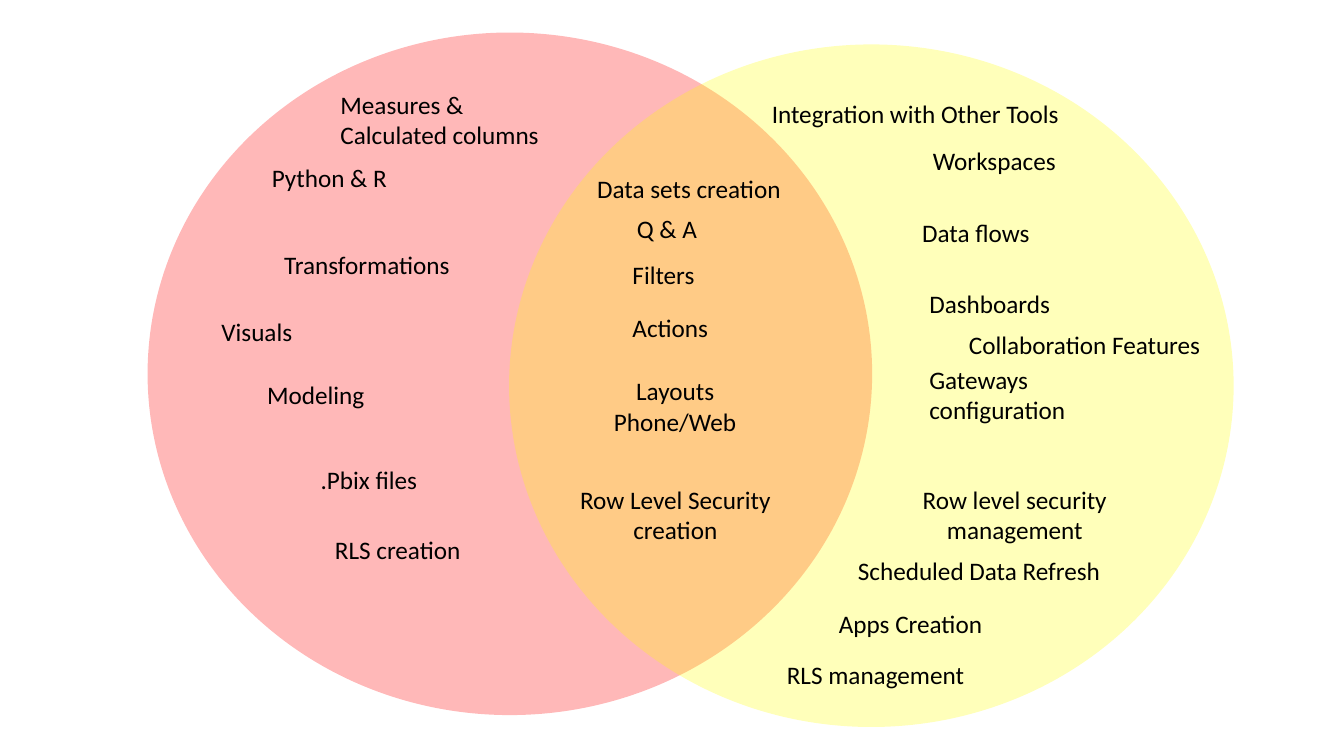
"""Build a Venn diagram slide of report authoring and online service features."""
from lxml import etree
from pptx import Presentation
from pptx import util as u
from pptx.dml.color import RGBColor
from pptx.enum import shapes, text
from pptx.oxml.ns import qn

RED = RGBColor(0xFF, 0x00, 0x00)
YELLOW = RGBColor(0xFF, 0xFF, 0x00)
BLACK = RGBColor(0x00, 0x00, 0x00)
LEFT, CENTER = text.PP_ALIGN.LEFT, text.PP_ALIGN.CENTER

presentation = Presentation()
presentation.slide_width = u.Cm(33.87)
presentation.slide_height = u.Cm(19.05)
slide = presentation.slides.add_slide(presentation.slide_layouts[6])


def add_label(words, left, top, width, alignment=LEFT, size=18, color=BLACK):
    lines = words.split("\n")
    height = 1.02 + 0.78 * (len(lines) - 1)
    shape = slide.shapes.add_textbox(u.Cm(left), u.Cm(top), u.Cm(width), u.Cm(height))
    frame = shape.text_frame
    frame.word_wrap = False
    frame.auto_size = text.MSO_AUTO_SIZE.SHAPE_TO_FIT_TEXT
    frame.text = words
    for paragraph in frame.paragraphs:
        paragraph.alignment = alignment
        paragraph.font.name = "Calibri"
        paragraph.font.size = u.Pt(size)
        paragraph.font.color.rgb = color


circles = [
    (3.72, 0.82, RED, 28),
    (12.83, 1.12, YELLOW, 27),
]
for left, top, color, opacity in circles:
    circle = slide.shapes.add_shape(
        shapes.MSO_SHAPE.OVAL, u.Cm(left), u.Cm(top), u.Cm(18.26), u.Cm(17.2))
    circle.shadow.inherit = False
    circle.line.fill.background()
    circle.fill.solid()
    circle.fill.fore_color.rgb = color
    fill_color = circle.fill._xPr.find(qn("a:solidFill"))[0]
    etree.SubElement(fill_color, qn("a:alpha")).set("val", str(opacity * 1000))

authoring_labels = [
    ("Measures &\nCalculated columns", 8.33, 2.12, 5.56),
    ("Python & R", 6.6, 3.96, 3.45),
    ("Transformations", 6.91, 6.15, 4.72),
    ("Visuals", 5.33, 7.85, 2.31),
    ("Modeling", 6.48, 9.43, 3),
    (".Pbix files", 7.83, 11.57, 2.97),
    ("RLS creation", 8.19, 13.34, 3.71),
]
shared_labels = [
    ("Data sets creation", 14.8, 4.24, 5.18),
    ("Q & A", 15.8, 5.24, 2.06),
    ("Filters", 15.69, 6.4, 2.08),
    ("Actions", 15.69, 7.75, 2.64),
    ("Layouts\nPhone/Web", 15.2, 9.34, 3.63, CENTER),
    ("Row Level Security\ncreation", 14.33, 12.08, 5.38, CENTER),
]
service_labels = [
    ("Integration with Other Tools", 19.2, 2.36, 7.82),
    ("Workspaces", 23.26, 3.53, 3.63),
    ("Data flows", 22.99, 5.36, 3.25),
    ("Dashboards", 23.17, 7.14, 3.58),
    ("Collaboration Features", 24.17, 8.18, 6.4),
    ("Gateways\nconfiguration", 23.17, 9.06, 3.99),
    ("Row level security\nmanagement", 22.97, 12.08, 5.21, CENTER),
    ("Scheduled Data Refresh", 21.37, 13.87, 6.71),
    ("Apps Creation", 20.89, 15.21, 4.17),
    ("RLS management", 19.58, 16.48, 5.03),
]
for label in authoring_labels + shared_labels + service_labels:
    add_label(*label)

presentation.save("out.pptx")
